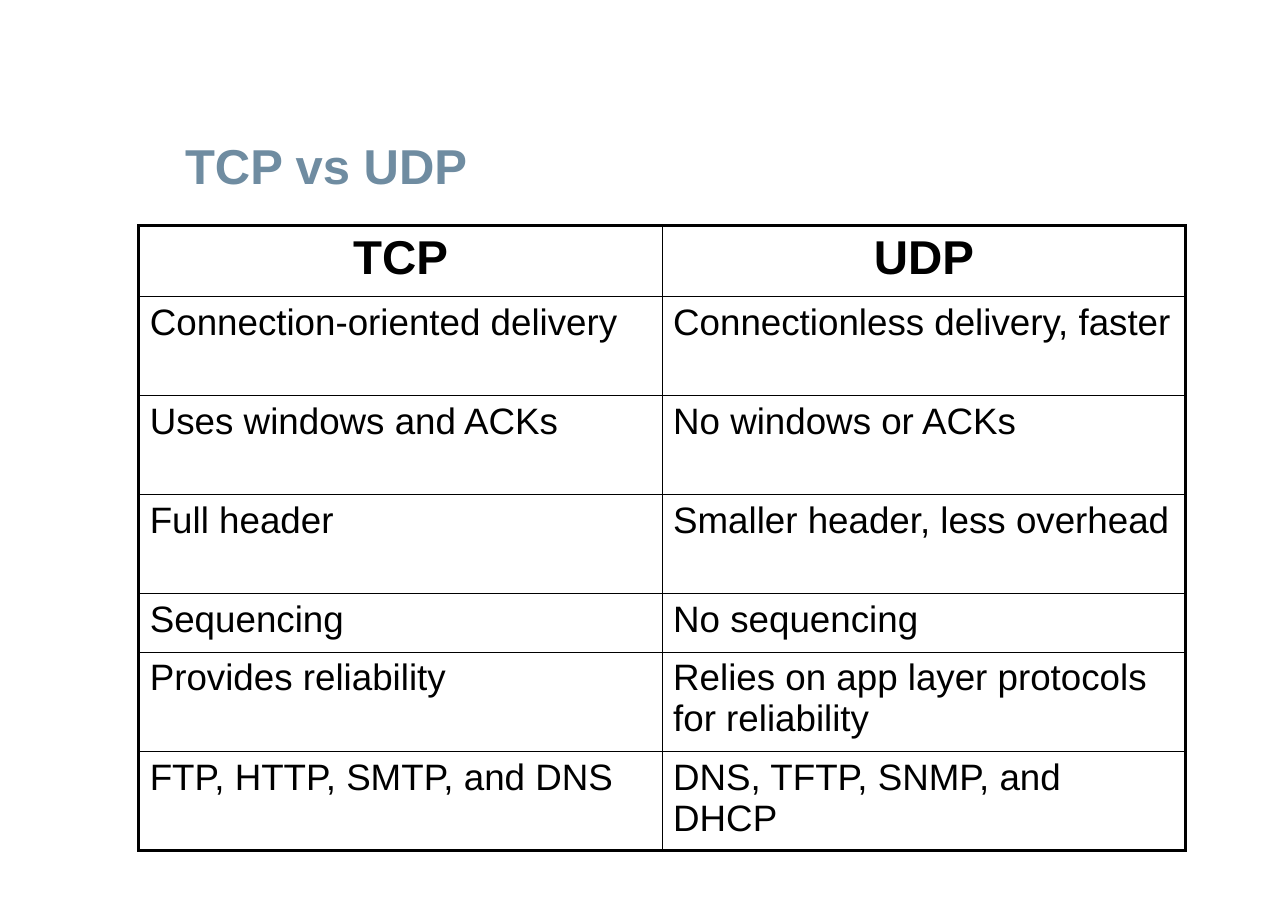
from lxml import etree
from pptx import Presentation
from pptx.dml.color import RGBColor
from pptx.enum import text
from pptx.oxml import ns
from pptx.util import Inches, Pt

# Content
HEADING = "TCP vs UDP"
COMPARISON = [
    ("TCP", "UDP"),
    ("Connection-oriented delivery", "Connectionless delivery, faster"),
    ("Uses windows and ACKs", "No windows or ACKs"),
    ("Full header", "Smaller header, less overhead"),
    ("Sequencing", "No sequencing"),
    ("Provides reliability", "Relies on app layer protocols for reliability"),
    ("FTP, HTTP, SMTP, and DNS", "DNS, TFTP, SNMP, and DHCP"),
]
ROW_HEIGHTS = [0.64, 0.9, 0.9, 0.9, 0.53, 0.9, 0.9]
COLUMN_WIDTH = 4.75
OUTER, INNER = 2.25, 1
COLORS = {"heading": "6F8CA1", "ink": "000000"}
FONT = "Arial"


def add_run(paragraph, words, size, color, bold):
    run = paragraph.add_run()
    run.text = words
    run.font.name = FONT
    run.font.size = Pt(size)
    run.font.bold = bold
    run.font.color.rgb = RGBColor.from_string(COLORS[color])


def add_border(cell, side, width):
    line = etree.SubElement(cell._tc.get_or_add_tcPr(), ns.qn(f"a:ln{side}"), w=str(Pt(width)))
    fill = etree.SubElement(line, ns.qn("a:solidFill"))
    etree.SubElement(fill, ns.qn("a:srgbClr"), val=COLORS["ink"])


def main():
    prs = Presentation()
    prs.slide_width, prs.slide_height = Inches(11.69), Inches(8.26)
    slide = prs.slides.add_slide(prs.slide_layouts[6])

    # Heading
    heading = slide.shapes.add_textbox(Inches(1.68), Inches(1.22), Inches(5.54), Inches(0.54)).text_frame
    heading.word_wrap = True
    heading.vertical_anchor = text.MSO_ANCHOR.BOTTOM
    heading.margin_left = heading.margin_right = heading.margin_top = heading.margin_bottom = 0
    add_run(heading.paragraphs[0], HEADING, 32, "heading", True)

    # Comparison table
    rows, columns = len(COMPARISON), len(COMPARISON[0])
    table = slide.shapes.add_table(
        rows, columns, Inches(1.26), Inches(2.05),
        Inches(COLUMN_WIDTH * columns), Inches(sum(ROW_HEIGHTS))).table
    table.first_row = table.horz_banding = False
    for column in table.columns:
        column.width = Inches(COLUMN_WIDTH)

    for r, (entries, height) in enumerate(zip(COMPARISON, ROW_HEIGHTS)):
        table.rows[r].height = Inches(height)
        for c, entry in enumerate(entries):
            cell = table.cell(r, c)
            on_edge = {"L": c == 0, "R": c == columns - 1, "T": r == 0, "B": r == rows - 1}
            for side, outer in on_edge.items():
                add_border(cell, side, OUTER if outer else INNER)
            cell.fill.background()
            is_header = r == 0
            paragraph = cell.text_frame.paragraphs[0]
            paragraph.alignment = text.PP_ALIGN.CENTER if is_header else text.PP_ALIGN.LEFT
            add_run(paragraph, entry, 31 if is_header else 24, "ink", is_header)

    prs.save("out.pptx")


if __name__ == "__main__":
    main()
